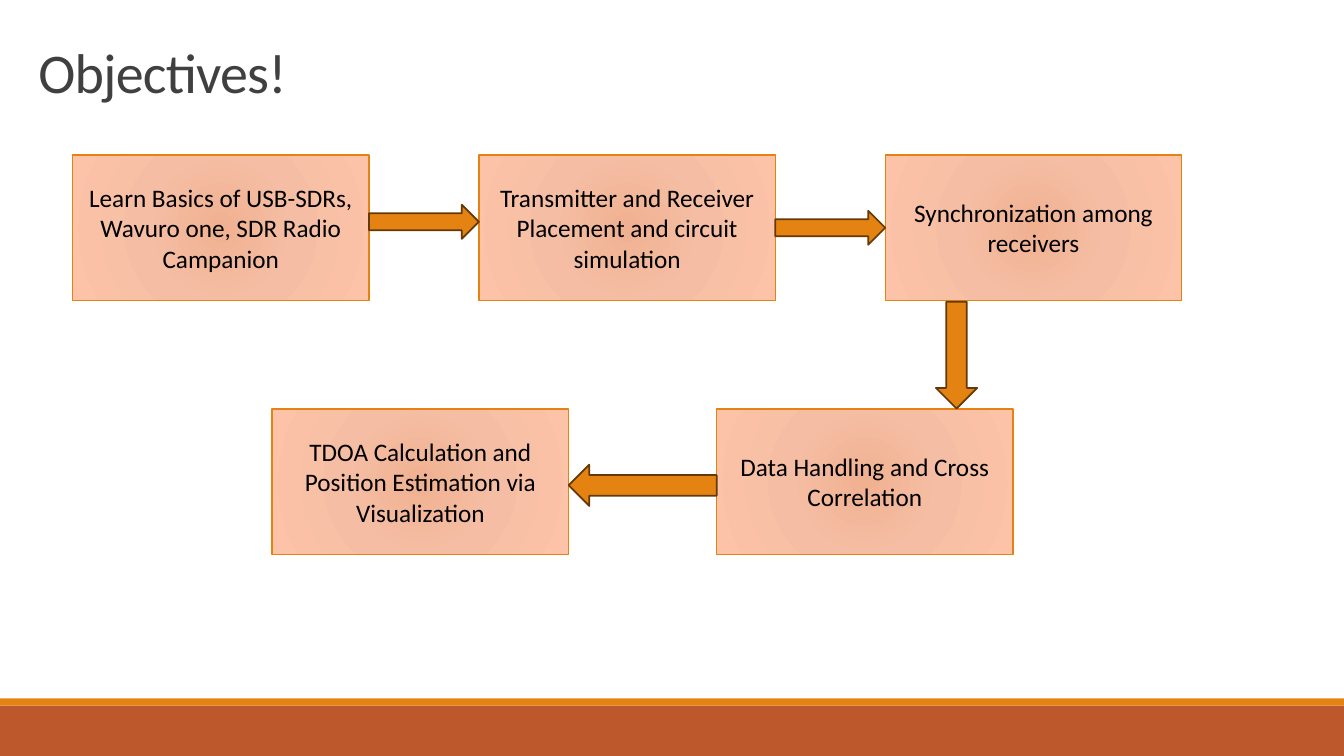
from dataclasses import dataclass

from pptx import Presentation
from pptx.dml.color import RGBColor
from pptx.enum.shapes import MSO_SHAPE
from pptx.enum.text import MSO_ANCHOR, PP_ALIGN
from pptx.oxml import parse_xml
from pptx.oxml.ns import nsdecls
from pptx.util import Cm, Pt

RECT = MSO_SHAPE.RECTANGLE
ARROW = MSO_SHAPE.RIGHT_ARROW
TOP, MIDDLE = MSO_ANCHOR.TOP, MSO_ANCHOR.MIDDLE
LEFT, CENTER = PP_ALIGN.LEFT, PP_ALIGN.CENTER


@dataclass(frozen=True)
class Theme:
    font: str = "Calibri"
    title_size: int = 40
    body_size: int = 18
    title: str = "404040"
    text: str = "000000"
    accent: str = "E48312"
    footer: str = "BD582C"
    arrow_line: str = "643908"
    gradient: tuple = ((0, "F0B191"), (45, "F5BEA4"), (100, "FDC3A8"))


THEME = Theme()
SLIDE_W, SLIDE_H = 33.87, 19.05
BOX_W, BOX_H = 7.47, 3.66
FIRST_X, PITCH = 1.83, 10.24
TOP_Y, BOTTOM_Y = 3.91, 10.31
DATA_X, TDOA_X = 18.06, 6.86
STEPS = [
    (FIRST_X, TOP_Y, "Learn Basics of USB-SDRs, Wavuro one, SDR Radio Campanion"),
    (FIRST_X + PITCH, TOP_Y, "Transmitter and Receiver Placement and circuit simulation"),
    (FIRST_X + 2 * PITCH, TOP_Y, "Synchronization among receivers"),
    (DATA_X, BOTTOM_Y, "Data Handling and Cross Correlation"),
    (TDOA_X, BOTTOM_Y, "TDOA Calculation and Position Estimation via Visualization"),
]
ARROWS = [
    (FIRST_X + BOX_W, 5.16, PITCH - BOX_W, 0.86, 0),
    (FIRST_X + PITCH + BOX_W, 5.31, PITCH - BOX_W, 0.86, 0),
    (22.76, 8.43, 2.69, 1.04, 90),
    (TDOA_X + BOX_W, 11.71, DATA_X - TDOA_X - BOX_W, 1.04, 180),
]


def rgb(color):
    return RGBColor.from_string(color)


def add_run(p, text, size, color):
    r = p.add_run()
    r.text = text
    r.font.name = THEME.font
    r.font.size = Pt(size)
    r.font.color.rgb = rgb(color)
    return r


def add_shape(slide, kind, x, y, w, h, fill=None, line=None, width=1):
    sp = slide.shapes.add_shape(kind, Cm(x), Cm(y), Cm(w), Cm(h))
    sp.shadow.inherit = False
    if fill:
        sp.fill.solid()
        sp.fill.fore_color.rgb = rgb(fill)
    if line:
        sp.line.color.rgb = rgb(line)
        sp.line.width = Pt(width)
    else:
        sp.line.fill.background()
    return sp


def set_radial_fill(sp):
    stops = "".join(
        f'<a:gs pos="{pos * 1000}"><a:srgbClr val="{color}"/></a:gs>'
        for pos, color in THEME.gradient
    )
    grad = parse_xml(
        f'<a:gradFill {nsdecls("a")} rotWithShape="1"><a:gsLst>{stops}</a:gsLst>'
        '<a:path path="circle">'
        '<a:fillToRect l="50000" t="50000" r="50000" b="50000"/>'
        "</a:path></a:gradFill>"
    )
    sp.element.spPr.insert(2, grad)


def add_step(slide, x, y, text):
    sp = add_shape(slide, RECT, x, y, BOX_W, BOX_H, line=THEME.accent)
    set_radial_fill(sp)
    tf = sp.text_frame
    tf.word_wrap = True
    tf.vertical_anchor = MIDDLE
    p = tf.paragraphs[0]
    p.alignment = CENTER
    add_run(p, text, THEME.body_size, THEME.text)


def add_arrow(slide, x, y, w, h, rotation):
    sp = add_shape(slide, ARROW, x, y, w, h, THEME.accent, THEME.arrow_line, 1.25)
    sp.rotation = rotation


def set_title(slide, text):
    sp = slide.shapes.title
    sp.left, sp.top, sp.width, sp.height = Cm(0.71), Cm(1.09), Cm(17.22), Cm(2.62)
    tf = sp.text_frame
    tf.vertical_anchor = TOP
    p = tf.paragraphs[0]
    p.alignment = LEFT
    p.line_spacing = 0.85
    r = add_run(p, text, THEME.title_size, THEME.title)
    r.font._element.set("spc", "-50")


def main():
    prs = Presentation()
    prs.slide_width, prs.slide_height = Cm(SLIDE_W), Cm(SLIDE_H)
    slide = prs.slides.add_slide(prs.slide_layouts[5])
    add_shape(slide, RECT, 0, 17.78, SLIDE_W, 1.27, THEME.footer)
    add_shape(slide, RECT, 0, 17.6, SLIDE_W, 0.18, THEME.accent)
    set_title(slide, "Objectives!")
    for step in STEPS:
        add_step(slide, *step)
    for arrow in ARROWS:
        add_arrow(slide, *arrow)
    prs.save("out.pptx")


if __name__ == "__main__":
    main()
